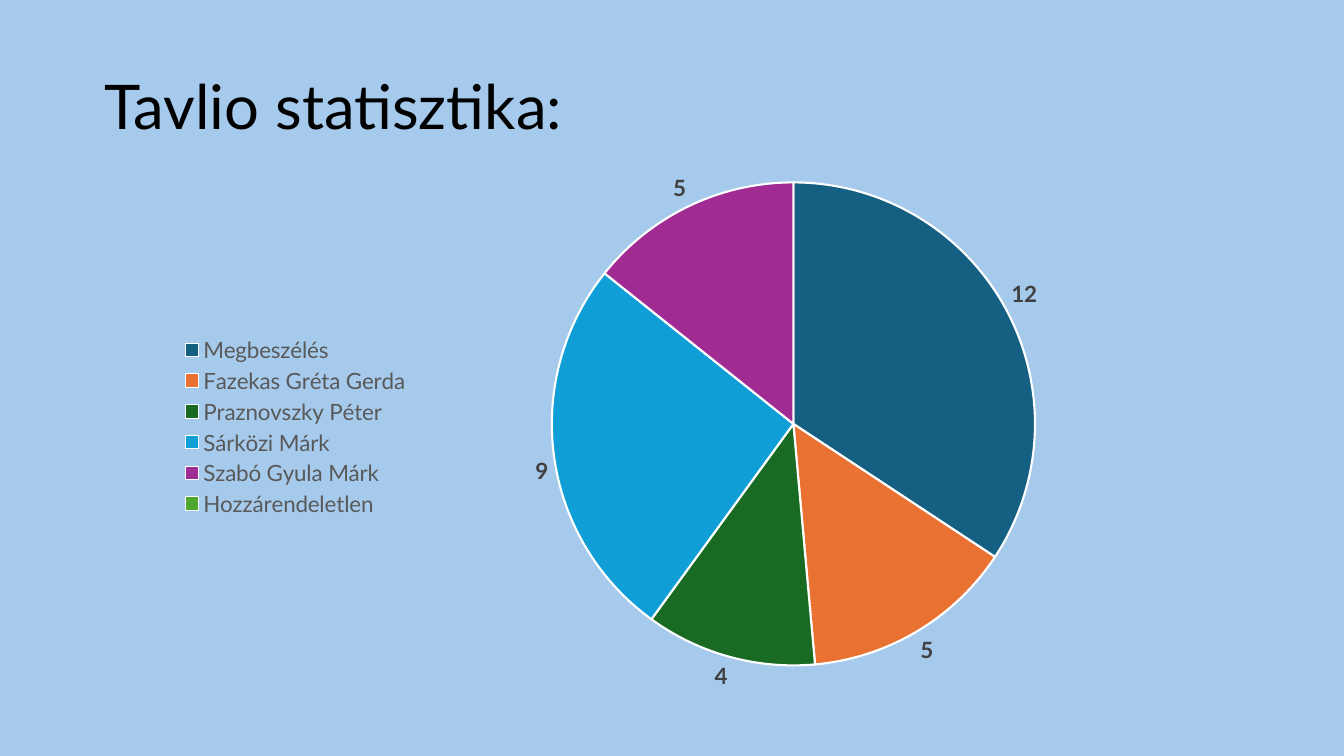
"""Builds a one-slide deck with a pie chart of task counts per assignee."""
from dataclasses import dataclass

from lxml.etree import SubElement
from pptx import Presentation
from pptx.chart.data import CategoryChartData
from pptx.dml.color import RGBColor
from pptx.enum.chart import XL_CHART_TYPE, XL_LABEL_POSITION, XL_LEGEND_POSITION
from pptx.enum.text import MSO_ANCHOR, PP_ALIGN
from pptx.oxml.ns import qn
from pptx.util import Inches, Pt


@dataclass(frozen=True)
class Theme:
    """Colours, font and type sizes of the slide."""

    font: str = "Lato"
    background: str = "A6CAEC"
    title: str = "000000"
    legend: str = "595959"
    label: str = "404040"
    border: str = "FFFFFF"
    title_size: int = 44
    chart_size: int = 10
    caption_size: int = 16


THEME = Theme()
WIDTH, HEIGHT = Inches(13.33), Inches(7.5)
TASKS = [
    ("Megbeszélés", 12, "156082"),
    ("Fazekas Gréta Gerda", 5, "E97132"),
    ("Praznovszky Péter", 4, "196B24"),
    ("Sárközi Márk", 9, "0F9ED5"),
    ("Szabó Gyula Márk", 5, "A02B93"),
    ("Hozzárendeletlen", 0, "4EA72E"),
]


def area(left, top, width, height):
    """Turn shares of the slide into a box in slide units."""
    return [int(share * side) for share, side in
            zip((left, top, width, height), (WIDTH, HEIGHT) * 2)]


def style(font, size, color, bold=False):
    """Give a font the theme's typeface with a size and a colour."""
    font.name = THEME.font
    font.size = Pt(size)
    font.bold = bold
    font.color.rgb = RGBColor.from_string(color)


def paint(fill, color):
    """Fill with one solid colour."""
    fill.solid()
    fill.fore_color.rgb = RGBColor.from_string(color)


def add_heading(slide, wording, box):
    """Place and format the title placeholder."""
    heading = slide.shapes.title
    heading.left, heading.top, heading.width, heading.height = box
    heading.text_frame.vertical_anchor = MSO_ANCHOR.MIDDLE
    paragraph = heading.text_frame.paragraphs[0]
    paragraph.alignment = PP_ALIGN.LEFT
    paragraph.line_spacing = 0.9
    run = paragraph.add_run()
    run.text = wording
    style(run.font, THEME.title_size, THEME.title)


def fix_plot_area(chart, x, y, w, h):
    """Set the inner plot area as shares of the chart."""
    plot_area = chart._chartSpace.chart.plotArea
    layout = plot_area.find(qn("c:layout"))
    if layout is None:
        layout = SubElement(plot_area, qn("c:layout"))
        plot_area.insert(0, layout)
    manual = SubElement(layout, qn("c:manualLayout"))
    settings = [("layoutTarget", "inner"), ("xMode", "edge"), ("yMode", "edge"),
                ("x", x), ("y", y), ("w", w), ("h", h)]
    for tag, value in settings:
        SubElement(manual, qn(f"c:{tag}")).set("val", str(value))


def add_pie(slide, tasks, box):
    """Add the pie with coloured slices, outer values and a left legend."""
    names, counts, colors = zip(*tasks)
    data = CategoryChartData(number_format="0")
    data.categories = names
    data.add_series("Series 1", counts)
    chart = slide.shapes.add_chart(XL_CHART_TYPE.PIE, *box, data).chart
    style(chart.font, THEME.chart_size, THEME.title)
    chart.has_title = False
    chart.has_legend = True
    chart.legend.position = XL_LEGEND_POSITION.LEFT
    chart.legend.include_in_layout = False
    style(chart.legend.font, THEME.caption_size, THEME.legend)
    fix_plot_area(chart, 0.38, 0.06, 0.48, 0.87)

    pie = chart.plots[0]
    pie.vary_by_categories = True
    series = pie.series[0]
    for index, color in enumerate(colors):
        slice_format = series.points[index].format
        paint(slice_format.fill, color)
        paint(slice_format.line.fill, THEME.border)
        slice_format.line.width = Pt(1.5)

    labels = series.data_labels
    labels.show_value = True
    labels.position = XL_LABEL_POSITION.OUTSIDE_END
    labels.number_format = "0;;"
    labels.number_format_is_linked = False
    style(labels.font, THEME.caption_size, THEME.label, bold=True)


def main():
    """Build and save the slide."""
    deck = Presentation()
    deck.slide_width, deck.slide_height = WIDTH, HEIGHT
    slide = deck.slides.add_slide(deck.slide_layouts[5])
    paint(slide.background.fill, THEME.background)
    add_heading(slide, "Tavlio statisztika:", area(0.07, 0.05, 0.86, 0.19))
    add_pie(slide, TASKS, area(0.126, 0.197, 0.749, 0.735))
    deck.save("out.pptx")


if __name__ == "__main__":
    main()
